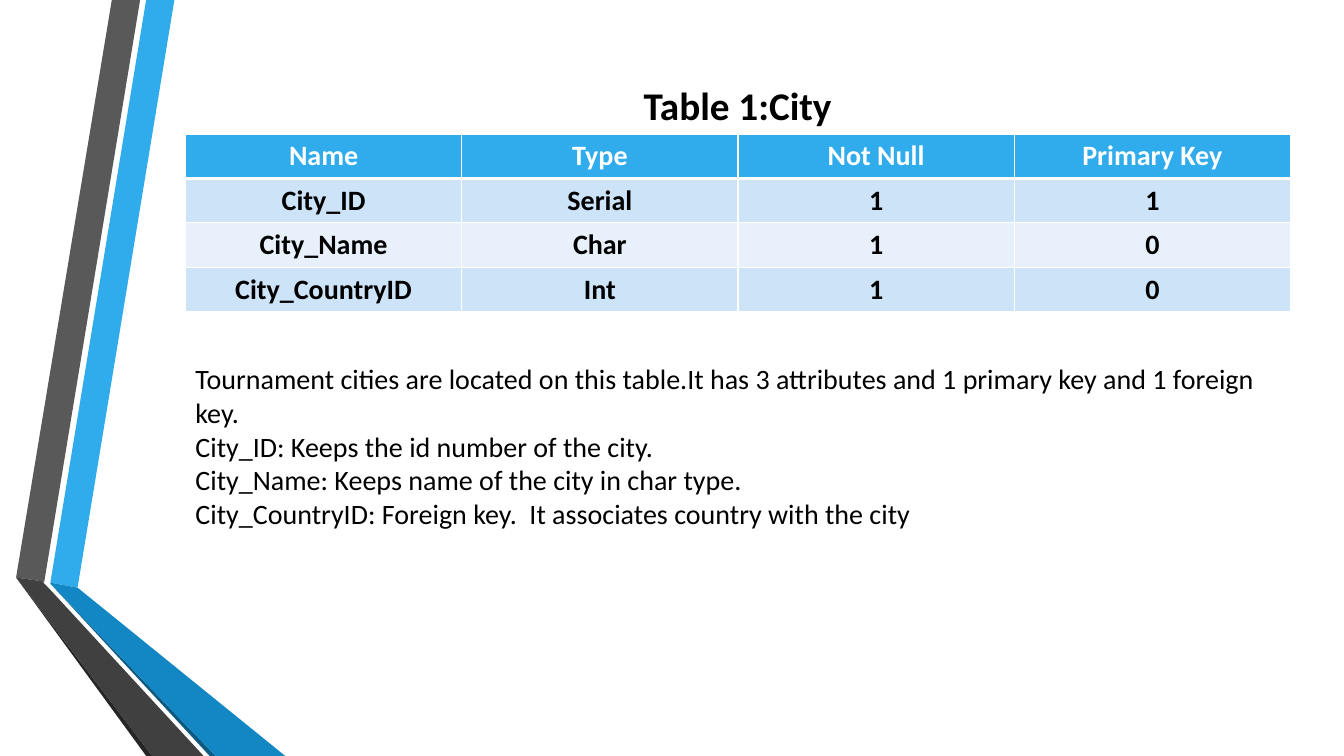
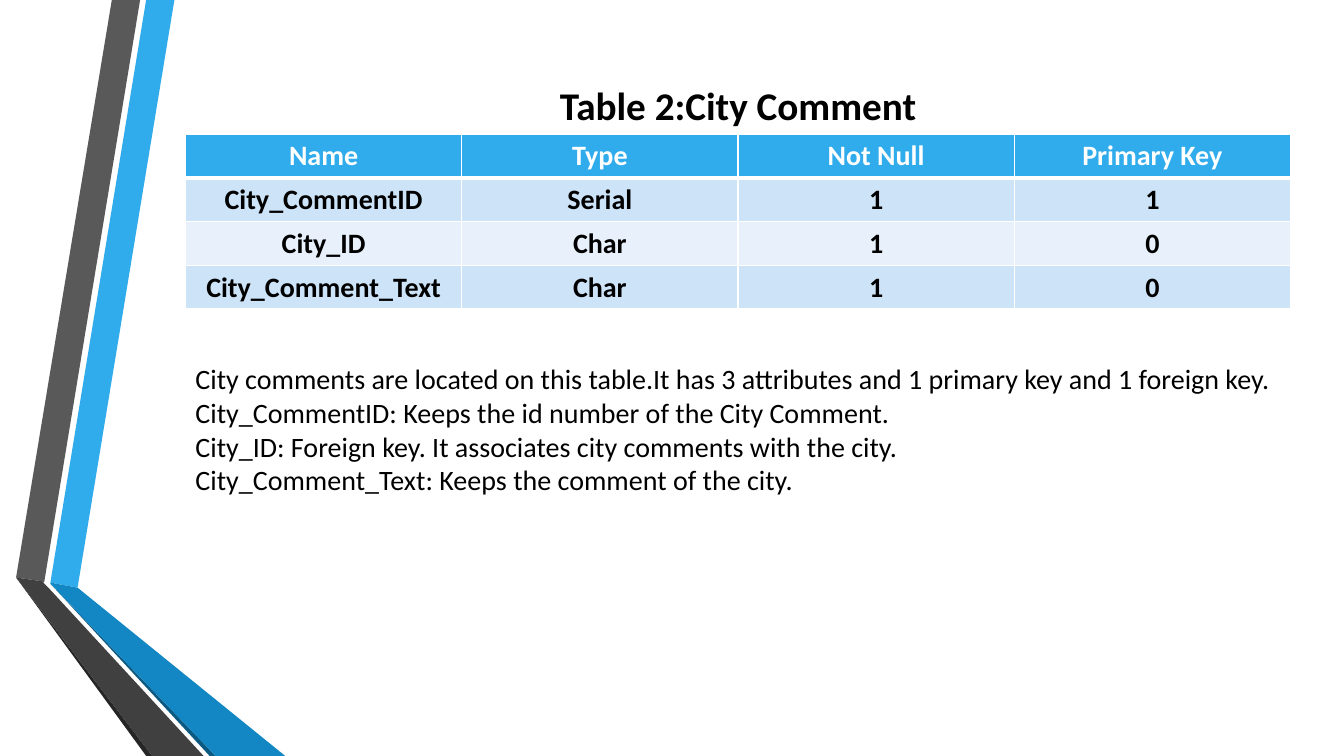
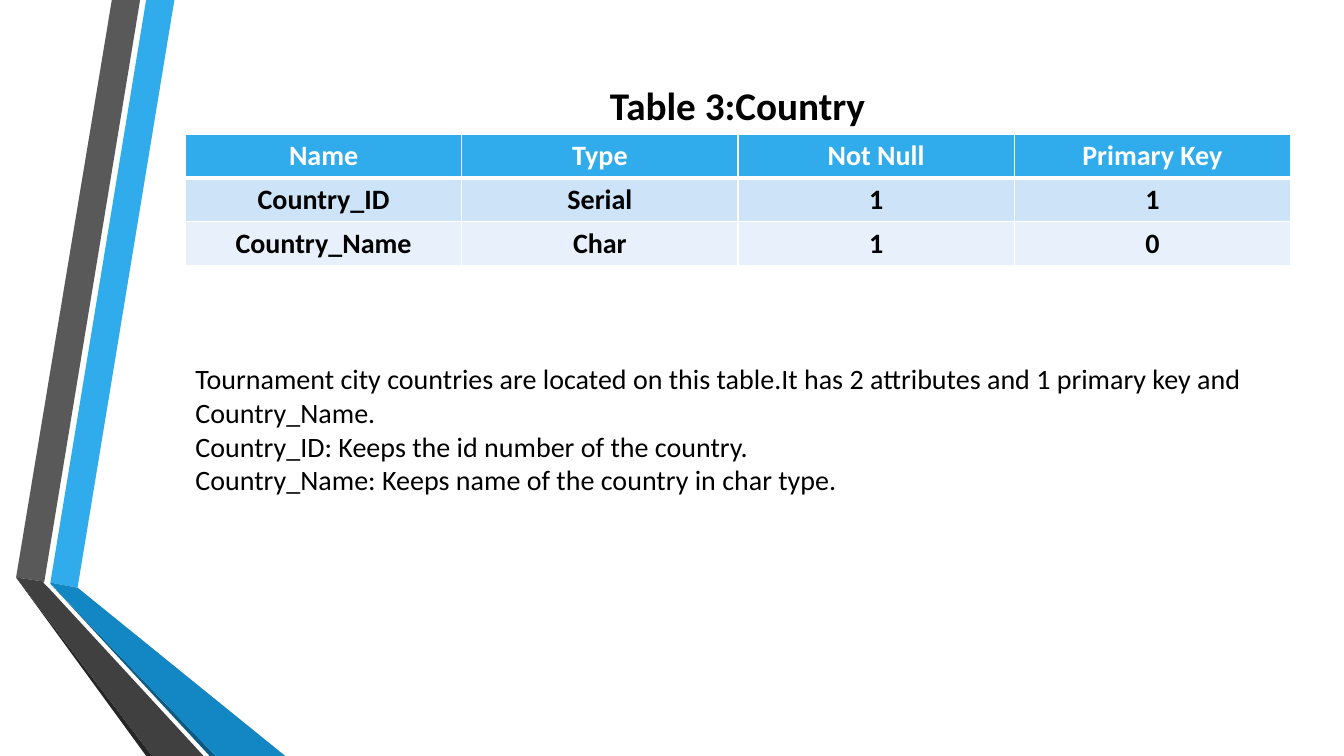
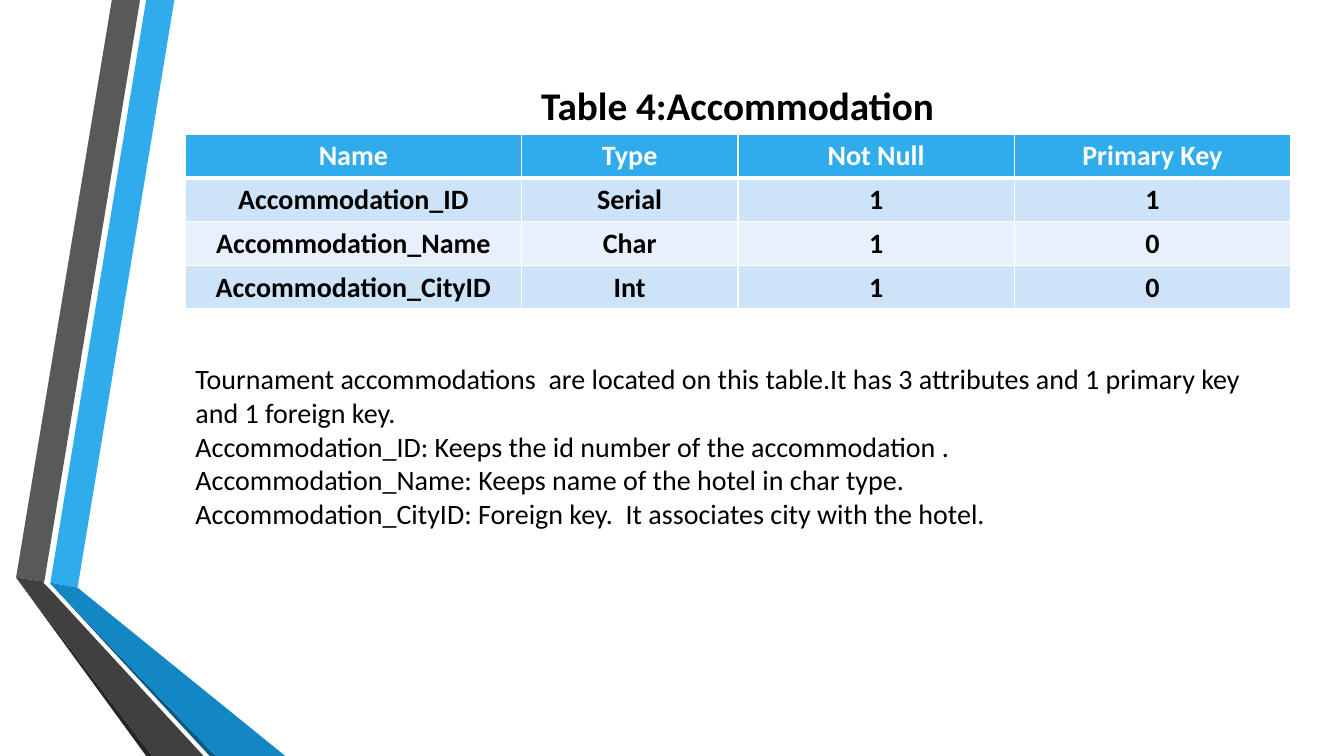
from pptx import Presentation
from pptx.dml.color import RGBColor
from pptx.enum.text import MSO_AUTO_SIZE, PP_ALIGN
from pptx.oxml.ns import qn
from pptx.util import Pt
from lxml.etree import SubElement

EMU_PER_PX = 9144
COLORS = {
    "blue": "30ACEC", "blue_fold": "1287C3", "blue_edge": "0C5A82",
    "gray": "595959", "gray_fold": "404040", "gray_edge": "262626",
    "row_odd": "CDE3F8", "row_even": "E8F1FB",
    "white": "FFFFFF", "black": "000000",
}
RIBBONS = [
    ("blue", [(50, 578), (77, 583), (173, 0), (145, 0)]),
    ("gray", [(139, 0), (111, 0), (16, 573), (44, 577)]),
    ("gray_edge", [(16, 573), (145, 750), (151, 750)]),
    ("blue_edge", [(50, 579), (208, 750), (214, 750)]),
    ("blue_fold", [(50, 579), (214, 750), (283, 750), (77, 583), (50, 578)]),
    ("gray_fold", [(202, 750), (48, 583), (43, 578), (44, 577), (16, 573), (151, 750)]),
]
LEFT, WIDTH = 184, 1096
TABLE_TOP, ROW_HEIGHT = 133, 43
HEADINGS = ("Name", "Type", "Not Null", "Primary Key")
EQUAL_COLUMNS = (274, 274, 274, 274)
ENTITIES = [
    {
        "title": "Table 1:City", "title_width": 219, "columns": EQUAL_COLUMNS,
        "fields": [("City_ID", "Serial", "1", "1"),
                   ("City_Name", "Char", "1", "0"),
                   ("City_CountryID", "Int", "1", "0")],
        "notes_height": 212,
        "notes": ["Tournament cities are located on this table.It has 3 attributes and 1 primary key and 1 foreign key.",
                  "City_ID: Keeps the id number of the city.",
                  "City_Name: Keeps name of the city in char type.",
                  "City_CountryID: Foreign key.  It associates country with the city"],
    },
    {
        "title": "Table 2:City Comment", "title_width": 394, "columns": EQUAL_COLUMNS,
        "fields": [("City_CommentID", "Serial", "1", "1"),
                   ("City_ID", "Char", "1", "0"),
                   ("City_Comment_Text", "Char", "1", "0")],
        "notes_height": 145,
        "notes": ["City comments are located on this table.It has 3 attributes and 1 primary key and 1 foreign key.",
                  "City_CommentID: Keeps the id number of the City Comment.",
                  "City_ID: Foreign key. It associates city comments with the city.",
                  "City_Comment_Text: Keeps the comment of the city."],
    },
    {
        "title": "Table 3:Country", "title_width": 287, "columns": EQUAL_COLUMNS,
        "fields": [("Country_ID", "Serial", "1", "1"),
                   ("Country_Name", "Char", "1", "0")],
        "notes_height": 178,
        "notes": ["Tournament city countries are located on this table.It has 2 attributes and 1 primary key and Country_Name.",
                  "Country_ID: Keeps the id number of the country.",
                  "Country_Name: Keeps name of the country in char type."],
    },
    {
        "title": "Table 4:Accommodation", "title_width": 433, "columns": (333, 215, 274, 274),
        "fields": [("Accommodation_ID", "Serial", "1", "1"),
                   ("Accommodation_Name", "Char", "1", "0"),
                   ("Accommodation_CityID", "Int", "1", "0")],
        "notes_height": 212,
        "notes": ["Tournament accommodations  are located on this table.It has 3 attributes and 1 primary key and 1 foreign key.",
                  "Accommodation_ID: Keeps the id number of the accommodation .",
                  "Accommodation_Name: Keeps name of the hotel in char type.",
                  "Accommodation_CityID: Foreign key.  It associates city with the hotel."],
    },
]


def px(*lengths):
    return [length * EMU_PER_PX for length in lengths]


def rgb(color):
    return RGBColor.from_string(COLORS[color])


class Deck:
    """Holds the shared style and the slide being drawn."""

    font = "Calibri"

    def __init__(self):
        self.prs = Presentation()
        self.prs.slide_width, self.prs.slide_height = px(1333, 750)
        self.shapes = None

    def new_slide(self):
        self.shapes = self.prs.slides.add_slide(self.prs.slide_layouts[6]).shapes
        for color, points in RIBBONS:
            self.ribbon(color, points)

    def ribbon(self, color, points):
        outline = self.shapes.build_freeform(*points[0], scale=float(EMU_PER_PX))
        outline.add_line_segments(points[1:], close=True)
        band = outline.convert_to_shape()
        band.shadow.inherit = False
        band.fill.solid()
        band.fill.fore_color.rgb = rgb(color)
        band.line.fill.background()

    def style(self, paragraph, size, color="black", bold=False, align=PP_ALIGN.LEFT):
        paragraph.alignment = align
        paragraph.font.name = self.font
        paragraph.font.size = Pt(size)
        paragraph.font.bold = bold
        paragraph.font.color.rgb = rgb(color)

    def text(self, box, lines, wrap=True, **style):
        frame = self.shapes.add_textbox(*px(*box)).text_frame
        frame.word_wrap = wrap
        frame.auto_size = MSO_AUTO_SIZE.SHAPE_TO_FIT_TEXT
        frame.text = "\n".join(lines)
        for paragraph in frame.paragraphs:
            self.style(paragraph, **style)

    def title(self, title, width):
        left = LEFT + (WIDTH - width) // 2
        self.text((left, 76, width, 57), [title], wrap=False,
                  size=28, bold=True, align=PP_ALIGN.CENTER)

    def notes(self, lines, height):
        self.text((LEFT, 354, WIDTH, height), lines, size=20)

    def borders(self, cell, top, bottom):
        properties = cell._tc.get_or_add_tcPr()
        for side, points in (("L", 1), ("R", 1), ("T", top), ("B", bottom)):
            line = SubElement(properties, qn(f"a:ln{side}"), w=str(Pt(points)))
            fill = SubElement(line, qn("a:solidFill"))
            SubElement(fill, qn("a:srgbClr"), val=COLORS["white"])

    def table(self, columns, fields):
        rows = [HEADINGS, *fields]
        box = px(LEFT, TABLE_TOP, sum(columns), ROW_HEIGHT * len(rows))
        table = self.shapes.add_table(len(rows), len(columns), *box).table
        for column, width in zip(table.columns, px(*columns)):
            column.width = width
        for r, values in enumerate(rows):
            fill = "blue" if r == 0 else "row_odd" if r % 2 else "row_even"
            for c, value in enumerate(values):
                cell = table.cell(r, c)
                self.borders(cell, top=3 if r == 1 else 1, bottom=3 if r == 0 else 1)
                cell.fill.solid()
                cell.fill.fore_color.rgb = rgb(fill)
                cell.text = value
                self.style(cell.text_frame.paragraphs[0], size=20, bold=True,
                           color="black" if r else "white", align=PP_ALIGN.CENTER)


def main():
    deck = Deck()
    for entity in ENTITIES:
        deck.new_slide()
        deck.table(entity["columns"], entity["fields"])
        deck.title(entity["title"], entity["title_width"])
        deck.notes(entity["notes"], entity["notes_height"])
    deck.prs.save("out.pptx")


if __name__ == "__main__":
    main()
